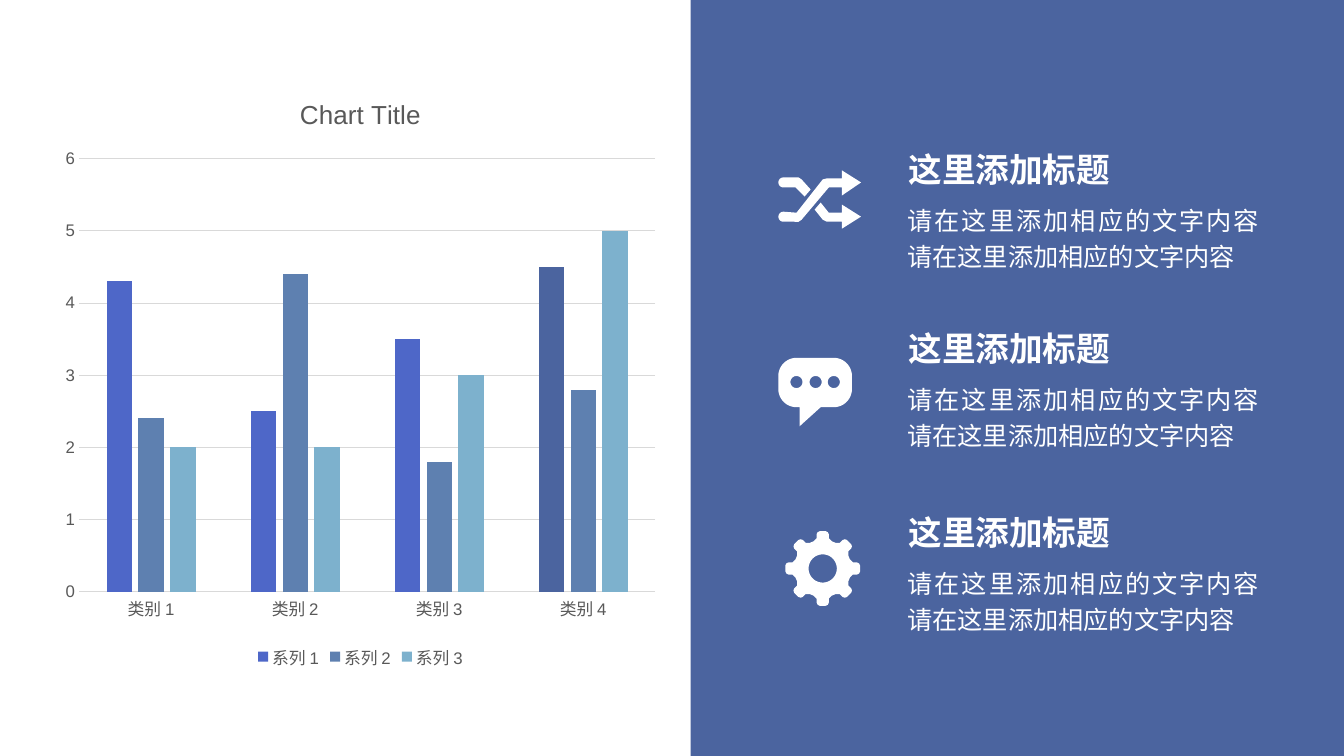
import math

from pptx import Presentation
from pptx import util as u
from pptx.chart.data import CategoryChartData
from pptx.dml.color import RGBColor
from pptx.enum import chart as ch, shapes, text

WHITE = RGBColor(0xFF, 0xFF, 0xFF)
NAVY = RGBColor(0x4B, 0x64, 0x9F)
GRAY = RGBColor(0x59, 0x59, 0x59)
GRID = RGBColor(0xD9, 0xD9, 0xD9)
ROYAL = RGBColor(0x4E, 0x67, 0xC8)
STEEL = RGBColor(0x5E, 0x80, 0xB0)
SKY = RGBColor(0x7D, 0xB1, 0xCD)
FONT = "Arial"


def arc(cx, cy, radius, start, end, steps=12):
    """Points on an arc; degrees run clockwise from the right."""
    angles = [math.radians(start + (end - start) * i / steps) for i in range(steps + 1)]
    return [(cx + radius * math.cos(a), cy + radius * math.sin(a)) for a in angles]


def draw_icon(parent, *contours):
    """Draw one white freeform from closed outlines given in inches."""
    outlines = [[(u.Inches(x), u.Inches(y)) for x, y in c] for c in contours]
    builder = parent.build_freeform(*outlines[0][0], scale=1.0)
    builder.add_line_segments(outlines[0][1:], close=True)
    for hole in outlines[1:]:
        builder.move_to(*hole[0])
        builder.add_line_segments(hole[1:], close=True)
    icon = builder.convert_to_shape()
    icon.fill.solid()
    icon.fill.fore_color.rgb = WHITE
    icon.line.fill.background()
    icon.shadow.inherit = False


prs = Presentation()
prs.slide_width, prs.slide_height = u.Inches(13.33), u.Inches(7.5)
slide = prs.slides.add_slide(prs.slide_layouts[6])

# Right panel
panel = slide.shapes.add_shape(shapes.MSO_SHAPE.RECTANGLE, u.Inches(6.85), 0,
                               u.Inches(6.48), u.Inches(7.5))
panel.fill.solid()
panel.fill.fore_color.rgb = NAVY
panel.line.fill.background()
panel.shadow.inherit = False

# Column chart
data = CategoryChartData()
data.categories = ["类别 1", "类别 2", "类别 3", "类别 4"]
data.add_series("系列 1", (4.3, 2.5, 3.5, 4.5))
data.add_series("系列 2", (2.4, 4.4, 1.8, 2.8))
data.add_series("系列 3", (2, 2, 3, 5))
chart = slide.shapes.add_chart(ch.XL_CHART_TYPE.COLUMN_CLUSTERED, u.Inches(0.53), u.Inches(0.75),
                               u.Inches(6.09), u.Inches(5.93), data).chart
chart.font.name, chart.font.size = FONT, u.Pt(10)

chart.has_title = True
chart.chart_title.include_in_layout = False
chart.chart_title.text_frame.text = "Chart Title"
heading_font = chart.chart_title.text_frame.paragraphs[0].font
heading_font.name, heading_font.size, heading_font.bold = FONT, u.Pt(18.6), False
heading_font.color.rgb = GRAY

chart.has_legend = True
chart.legend.position = ch.XL_LEGEND_POSITION.BOTTOM
chart.legend.include_in_layout = False

categories, values = chart.category_axis, chart.value_axis
for font in (categories.tick_labels.font, values.tick_labels.font, chart.legend.font):
    font.name, font.size = FONT, u.Pt(12)
    font.color.rgb = GRAY
for axis in (categories, values):
    axis.major_tick_mark = axis.minor_tick_mark = ch.XL_TICK_MARK.NONE
values.minimum_scale, values.maximum_scale, values.major_unit = 0, 6, 1
values.has_major_gridlines = True
values.format.line.fill.background()
for line in (categories.format.line, values.major_gridlines.format.line):
    line.color.rgb = GRID
    line.width = u.Pt(0.75)

columns = chart.plots[0]
columns.gap_width, columns.overlap, columns.vary_by_categories = 219, -27, False
for series, color in zip(columns.series, (ROYAL, STEEL, SKY)):
    series.format.fill.solid()
    series.format.fill.fore_color.rgb = color
highlight = columns.series[0].points[3].format.fill
highlight.solid()
highlight.fore_color.rgb = NAVY

# Three text blocks: body below its heading
for top in (1.43, 3.2, 5.03):
    body = slide.shapes.add_textbox(u.Inches(8.9), u.Inches(top + 0.5),
                                    u.Inches(3.69), u.Inches(0.83)).text_frame
    body.text = "请在这里添加相应的文字内容" * 2
    body.word_wrap = True
    heading = slide.shapes.add_textbox(u.Inches(8.9), u.Inches(top),
                                       u.Inches(2.22), u.Inches(0.5)).text_frame
    heading.text = "这里添加标题"
    heading.word_wrap = False
    for frame, size, align in ((body, 18, text.PP_ALIGN.JUSTIFY),
                               (heading, 24, text.PP_ALIGN.CENTER)):
        frame.auto_size = text.MSO_AUTO_SIZE.SHAPE_TO_FIT_TEXT
        paragraph = frame.paragraphs[0]
        paragraph.alignment = align
        paragraph.font.name, paragraph.font.size = FONT, u.Pt(size)
        paragraph.font.color.rgb = WHITE
    body.paragraphs[0].line_spacing = 1.2
    heading.paragraphs[0].font.bold = True

# Speech bubble with three round holes
bubble = (arc(7.9, 3.73, 0.18, 180, 270) + arc(8.27, 3.73, 0.18, 270, 360)
          + arc(8.27, 3.86, 0.18, 0, 90) + [(8.14, 4.04), (7.93, 4.23), (7.93, 4.04)]
          + arc(7.9, 3.86, 0.18, 90, 180))
dots = [arc(x, 3.79, 0.06, 0, 360, 32) for x in (7.9, 8.09, 8.27)]
draw_icon(slide.shapes, bubble, *dots)

# Gear: one tooth profile turned eight times around the hub
hub_x, hub_y = 8.16, 5.64
half_tooth = [(0.09, -0.27), (0.06, -0.3), (0.06, -0.34), (0.05, -0.36), (0.03, -0.37)]
tooth = [(-x, y) for x, y in half_tooth] + half_tooth[::-1]
gear = []
for turn in range(8):
    cos, sin = math.cos(turn * math.pi / 4), math.sin(turn * math.pi / 4)
    gear += [(hub_x + x * cos - y * sin, hub_y + x * sin + y * cos) for x, y in tooth]
draw_icon(slide.shapes, gear, arc(hub_x, hub_y, 0.14, 0, 360, 48))

# Shuffle arrows
shuffle = slide.shapes.add_group_shape().shapes
draw_icon(shuffle, [(8.54, 2.15), (8.35, 2.03), (8.35, 2.11), (8.22, 2.11), (8.14, 2.01),
                    (8.08, 2.08), (8.16, 2.18), (8.2, 2.2), (8.35, 2.2), (8.35, 2.27)])
draw_icon(shuffle, arc(7.77, 1.81, 0.05, 90, 270)
          + [(7.92, 1.76), (7.95, 1.78), (8.04, 1.88), (7.98, 1.95), (7.89, 1.86)])
draw_icon(shuffle, [(8.54, 1.81), (8.35, 1.69), (8.35, 1.77), (8.2, 1.77), (8.16, 1.78),
                    (7.9, 2.11)] + arc(7.77, 2.15, 0.05, 270, 90)
          + [(7.92, 2.2), (7.95, 2.18), (8.22, 1.86), (8.35, 1.86), (8.35, 1.94)])

prs.save("out.pptx")
